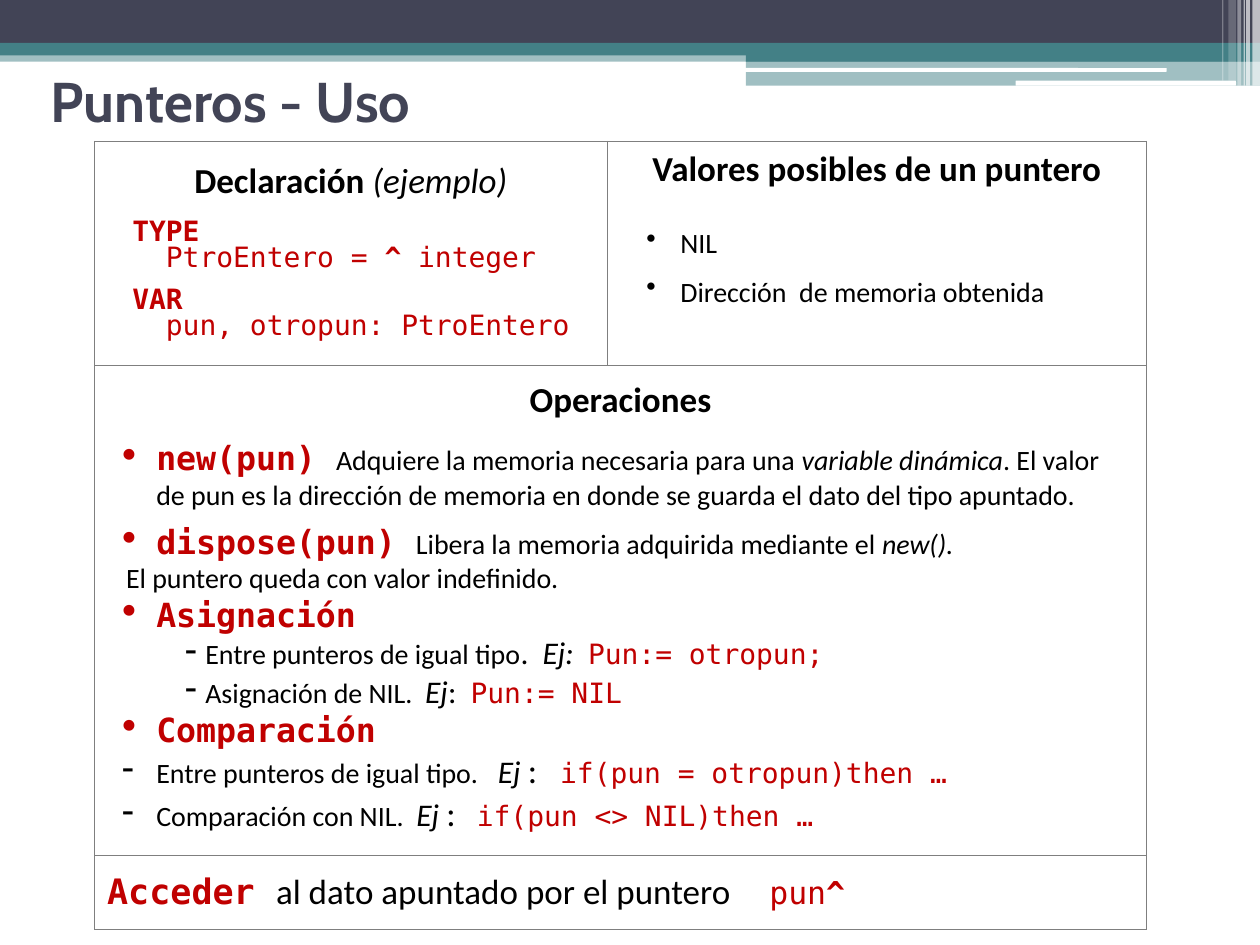
"""Build the slide on the use of pointers in Pascal."""
import lxml.etree
import pptx
import pptx.dml.color
import pptx.enum.shapes
import pptx.enum.text
import pptx.oxml.ns
import pptx.util

Inches, Pt = pptx.util.Inches, pptx.util.Pt
RGBColor = pptx.dml.color.RGBColor
MSO_SHAPE = pptx.enum.shapes.MSO_SHAPE
PP_ALIGN = pptx.enum.text.PP_ALIGN
MSO_ANCHOR = pptx.enum.text.MSO_ANCHOR
qn = pptx.oxml.ns.qn

SLATE = RGBColor(0x42, 0x44, 0x56)
TEAL = RGBColor(0x43, 0x80, 0x86)
WHITE = RGBColor(0xFF, 0xFF, 0xFF)
BLACK = RGBColor(0x00, 0x00, 0x00)
RED = RGBColor(0xC0, 0x00, 0x00)
GRAY = RGBColor(0x7F, 0x7F, 0x7F)


def style(name, size, color, **extra):
    return {"name": name, "size": Pt(size), "color": color,
            "bold": False, "italic": False, **extra}


HEADING = style("Calibri", 20, BLACK, bold=True)
BODY = style("Calibri", 16, BLACK)
BODY_ITALIC = {**BODY, "italic": True}
EXAMPLE = style("Calibri", 18, BLACK)
EXAMPLE_ITALIC = {**EXAMPLE, "italic": True}
COLON = {**EXAMPLE, "size": Pt(20)}
CODE = style("DejaVu Sans Mono", 16, RED)
CODE_BOLD = {**CODE, "bold": True}
KEYWORD = {**CODE_BOLD, "size": Pt(19)}
TITLE = style("Cabin", 32, SLATE, bold=True)

CENTERED = {"alignment": PP_ALIGN.CENTER, "line_spacing": 0.8, "space_after": Pt(12)}
TIGHT = {"line_spacing": 0.8}
SPACED = {"line_spacing": 0.8, "space_after": Pt(12)}


def gap(points):
    return " ", {**EXAMPLE, "spacing": points}


class SlideWriter:
    """Draws styled elements on the current slide."""

    def __init__(self, slide):
        self.slide = slide

    def title(self, text, left, top, width, height):
        heading = self.slide.shapes.title
        place = {"left": left, "top": top, "width": width, "height": height}
        for side, value in place.items():
            setattr(heading, side, Inches(value))
        heading.text_frame.vertical_anchor = MSO_ANCHOR.MIDDLE
        self.paragraph(heading.text_frame.paragraphs[0], [(text, TITLE)],
                       {"alignment": PP_ALIGN.LEFT})

    def band(self, left, top, width, height, color, opacity=100, kind=MSO_SHAPE.RECTANGLE):
        band = self.slide.shapes.add_shape(
            kind, Inches(left), Inches(top), Inches(width), Inches(height))
        band.shadow.inherit = False
        band.line.fill.background()
        band.fill.solid()
        band.fill.fore_color.rgb = color
        if opacity < 100:
            tint = band._element.spPr.find(qn("a:solidFill")).find(qn("a:srgbClr"))
            lxml.etree.SubElement(tint, qn("a:alpha"), val=str(opacity * 1000))

    def paragraph(self, paragraph, runs, layout=None, indent=None, bullet=None):
        properties = paragraph._p.get_or_add_pPr()
        if indent:
            for side, value in zip(("marL", "indent"), indent):
                properties.set(side, str(Inches(value)))
        if bullet:
            mark, color, percent = bullet
            tint = lxml.etree.SubElement(properties, qn("a:buClr"))
            lxml.etree.SubElement(tint, qn("a:srgbClr"), val=str(color))
            lxml.etree.SubElement(properties, qn("a:buSzPct"), val=str(percent * 1000))
            lxml.etree.SubElement(properties, qn("a:buChar"), char=mark)
        for key, value in (layout or {}).items():
            setattr(paragraph, key, value)
        for text, look in runs:
            run = paragraph.add_run()
            run.text = text
            for key, value in look.items():
                if key == "color":
                    run.font.color.rgb = value
                elif key == "spacing":
                    run._r.get_or_add_rPr().set("spc", str(value * 100))
                else:
                    setattr(run.font, key, value)

    def table(self, left, top, widths, heights):
        frame = self.slide.shapes.add_table(
            len(heights), len(widths), Inches(left), Inches(top),
            Inches(sum(widths)), Inches(sum(heights)))
        table = frame.table
        table.first_row = table.horz_banding = False
        for column, width in zip(table.columns, widths):
            column.width = Inches(width)
        for row, height in zip(table.rows, heights):
            row.height = Inches(height)
        for cell in table.iter_cells():
            properties = cell._tc.get_or_add_tcPr()
            for side in ("a:lnL", "a:lnR", "a:lnT", "a:lnB"):
                border = lxml.etree.SubElement(properties, qn(side), w=str(Pt(0.45)))
                ink = lxml.etree.SubElement(border, qn("a:solidFill"))
                lxml.etree.SubElement(ink, qn("a:srgbClr"), val=str(GRAY))
            cell.fill.background()
        return table

    def cell(self, cell, paragraphs, anchor=MSO_ANCHOR.MIDDLE):
        cell.vertical_anchor = anchor
        for number, content in enumerate(paragraphs):
            frame = cell.text_frame
            line = frame.add_paragraph() if number else frame.paragraphs[0]
            self.paragraph(line, *content)


def main():
    deck = pptx.Presentation()
    deck.slide_width, deck.slide_height = Inches(10), Inches(7.5)
    writer = SlideWriter(deck.slides.add_slide(deck.slide_layouts[5]))

    for band in [
        (0, 0.4, 10, 0.09, TEAL, 50),
        (0, 0, 10, 0.34, SLATE),
        (0, 0.34, 10, 0.1, TEAL),
        (5.92, 0.39, 4.08, 0.1, TEAL),
        (5.92, 0.48, 4.08, 0.2, TEAL, 50),
        (5.91, 0.54, 3.35, 0.03, WHITE, 100, MSO_SHAPE.ROUNDED_RECTANGLE),
        (8.06, 0.64, 1.75, 0.04, WHITE, 100, MSO_SHAPE.ROUNDED_RECTANGLE),
        (9.94, 0, 0.06, 0.68, WHITE, 65),
        (9.89, 0, 0.03, 0.68, WHITE, 65),
        (9.87, 0, 0.01, 0.68, WHITE, 60),
        (9.82, 0, 0.03, 0.68, WHITE, 40),
        (9.75, 0, 0.06, 0.64, WHITE, 20),
        (9.7, 0, 0.01, 0.64, WHITE, 30),
    ]:
        writer.band(*band)
    writer.title("Punteros - Uso", 0.3, 0.36, 5.33, 0.87)

    uses = writer.table(0.75, 1.12, [4.07, 4.28], [1.78, 3.89, 0.59])
    for row in (1, 2):
        uses.cell(row, 0).merge(uses.cell(row, 1))

    code_indent = (0.2, 0)
    writer.cell(uses.cell(0, 0), [
        ([("Declaración ", HEADING), ("(ejemplo)", {**HEADING, "bold": False, "italic": True})],
         CENTERED),
        ([("TYPE", CODE_BOLD)], TIGHT, code_indent),
        ([("  PtroEntero = ", CODE), ("^", CODE_BOLD), (" integer", CODE)],
         {**TIGHT, "space_after": Pt(9)}, code_indent),
        ([("VAR", CODE_BOLD)], TIGHT, code_indent),
        ([("  pun, otropun: PtroEntero", CODE)], TIGHT, code_indent),
    ])

    value_list = (SPACED, (0.48, -0.27), ("•", BLACK, 100))
    uses.cell(0, 1).margin_top = Inches(0.1)
    writer.cell(uses.cell(0, 1), [
        ([("Valores posibles de un puntero", HEADING)], {**CENTERED, "space_after": Pt(25)}),
        ([("NIL", BODY)], *value_list),
        ([("Dirección  de memoria obtenida", BODY)], *value_list),
    ], MSO_ANCHOR.TOP)

    operation = ({}, (0.39, -0.27), ("•", RED, 125))
    assignment = ({}, (0.78, -0.16), ("-", BLACK, 125))
    comparison = ({}, (0.39, -0.27), ("-", BLACK, 125))
    writer.cell(uses.cell(1, 0), [
        ([("Operaciones", HEADING)], CENTERED),
        ([("new(pun) ", KEYWORD), ("Adquiere la memoria necesaria para una ", BODY),
          ("variable dinámica", BODY_ITALIC),
          (". El valor de pun es la dirección de memoria en donde se guarda "
           "el dato del tipo apuntado.", BODY)],
         {"space_after": Pt(6)}, *operation[1:]),
        ([("dispose(pun) ", KEYWORD), ("Libera la memoria adquirida mediante el ", BODY),
          ("new().", BODY_ITALIC)], *operation),
        ([("El puntero queda con valor indefinido.", BODY)], {}, (0.15, 0)),
        ([("Asignación", KEYWORD)], *operation),
        ([("Entre punteros de igual tipo", BODY), (".", EXAMPLE), gap(4),
          ("Ej:", EXAMPLE_ITALIC), gap(4), ("Pun:= otropun;", CODE)], *assignment),
        ([("Asignación de NIL.", BODY), gap(3), ("Ej", EXAMPLE_ITALIC), (":", EXAMPLE),
          gap(4), ("Pun:= NIL", CODE)], *assignment),
        ([("Comparación", KEYWORD)], *operation),
        ([("Entre punteros de igual tipo.", BODY), gap(7), ("Ej ", EXAMPLE_ITALIC),
          (":", COLON), gap(9), ("if(pun = otropun)then …", CODE)], *comparison),
        ([("Comparación con NIL.", BODY), gap(3), ("Ej ", EXAMPLE_ITALIC),
          (":", COLON), gap(8), ("if(pun <> NIL)then …", CODE)], *comparison),
    ])

    writer.cell(uses.cell(2, 0), [
        ([("Acceder ", {**KEYWORD, "size": Pt(20)}),
          ("al dato apuntado por el puntero", {**HEADING, "bold": False}), gap(18),
          ("pun", {**CODE, "size": Pt(18)}), ("^", {**CODE_BOLD, "size": Pt(18)})],),
    ])
    deck.save("out.pptx")


if __name__ == "__main__":
    main()
